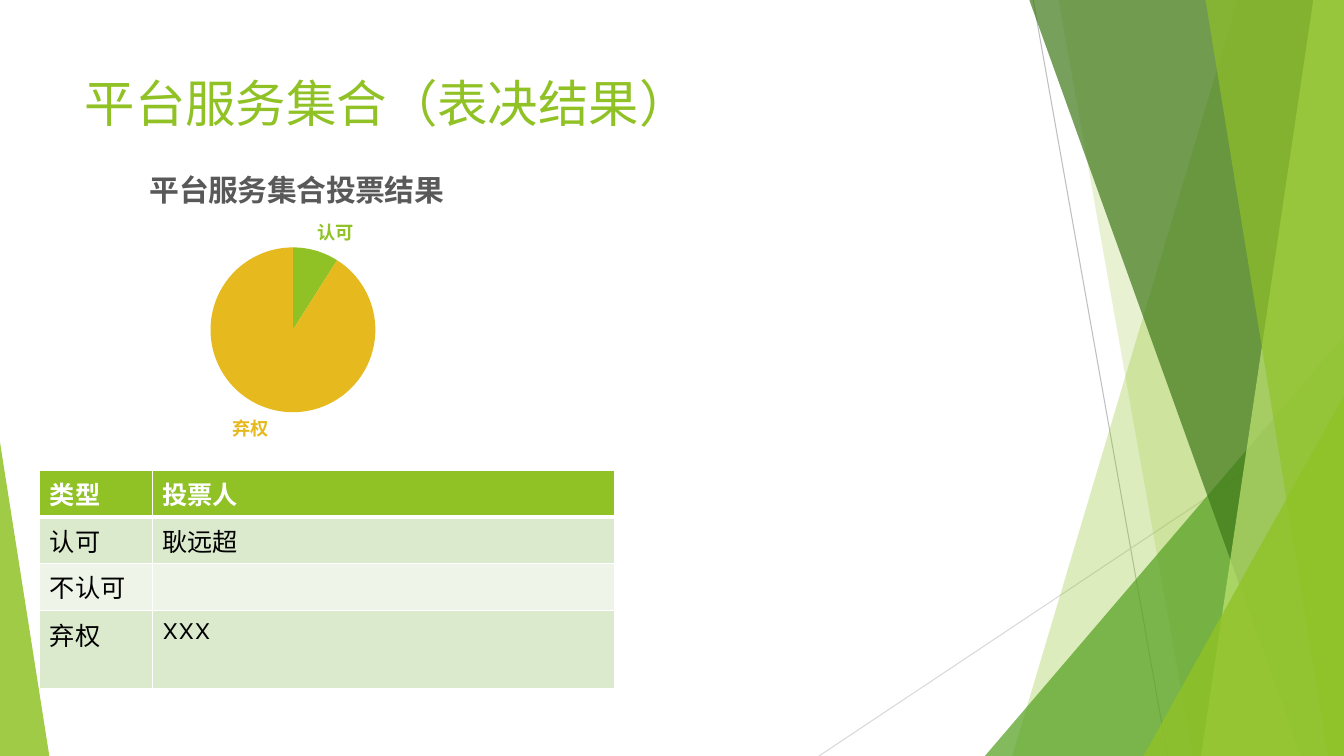
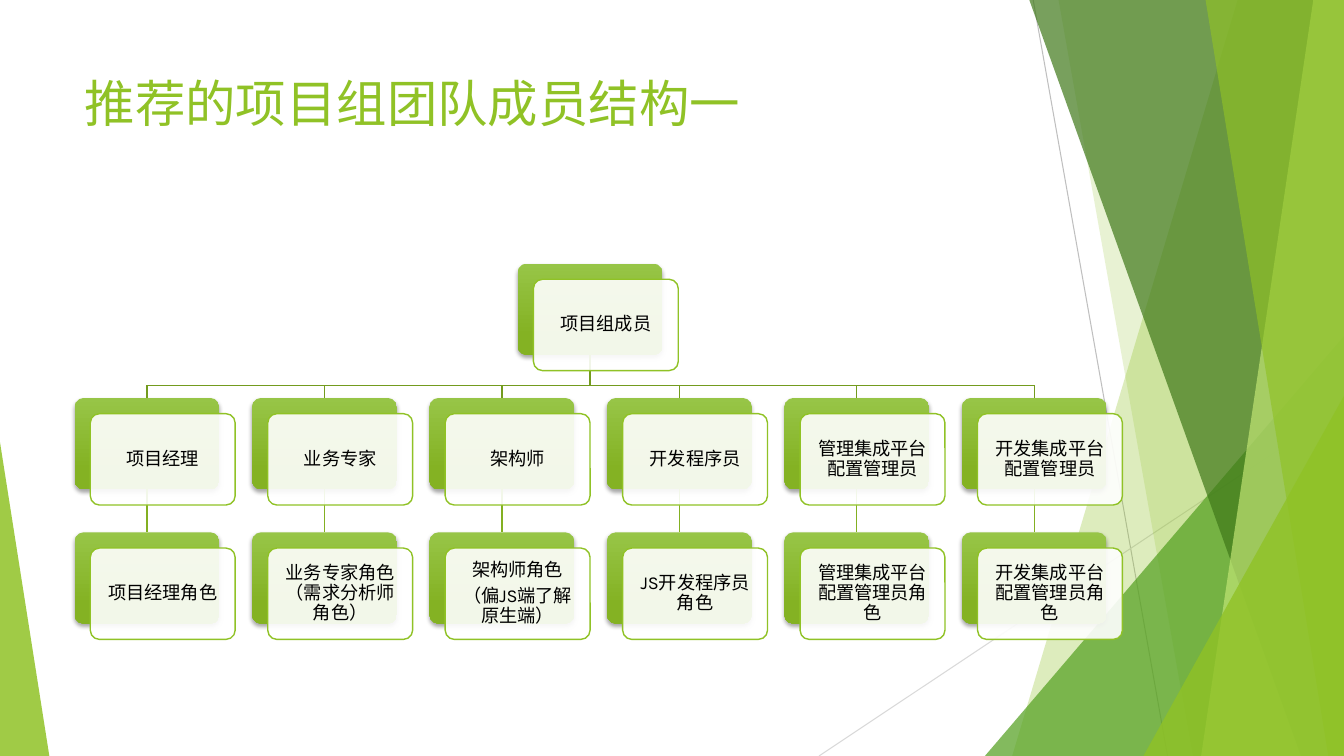
from dataclasses import dataclass

from lxml.etree import SubElement
from pptx import Presentation
from pptx.chart.data import CategoryChartData
from pptx.dml.color import RGBColor
from pptx.enum.chart import XL_CHART_TYPE, XL_LABEL_POSITION
from pptx.enum.shapes import MSO_CONNECTOR, MSO_SHAPE
from pptx.enum.text import MSO_ANCHOR, PP_ALIGN
from pptx.oxml.ns import qn
from pptx.util import Pt

PX = 9525
WIDTH, HEIGHT = 1280, 720


@dataclass(frozen=True)
class Theme:
    font: str = "Karla"
    lime: str = "90C226"
    green: str = "54A021"
    forest: str = "3F7819"
    pale: str = "C0E474"
    gold: str = "E6B91E"
    plate_top: str = "97C547"
    plate_bottom: str = "84B223"
    trunk: str = "739B1E"
    branch: str = "83B022"
    band_dark: str = "DBE9CD"
    band_light: str = "EEF4E8"
    gray: str = "BFBFBF"
    light_gray: str = "D9D9D9"
    heading: str = "595959"
    black: str = "000000"
    white: str = "FFFFFF"
    title_size: float = 36
    chart_title_size: float = 21.3
    table_size: float = 18
    small_size: float = 13


THEME = Theme()


def style_font(font, size, colour, bold=False):
    font.name = THEME.font
    font.size = Pt(size)
    font.bold = bold
    font.color.rgb = RGBColor.from_string(colour)


def paint(shape, colour, opacity):
    """Give the shape a translucent fill, with no outline and no shadow."""
    shape.shadow.inherit = False
    shape.fill.solid()
    shape.fill.fore_color.rgb = RGBColor.from_string(colour)
    shape.line.fill.background()
    fill_colour = next(shape.element.spPr.iter(qn("a:srgbClr")))
    SubElement(fill_colour, qn("a:alpha")).set("val", str(opacity * 1000))


presentation = Presentation()
presentation.slide_width = WIDTH * PX
presentation.slide_height = HEIGHT * PX
connectors = []

# Titles: placed on the layout, styled on each slide
layout = presentation.slide_layouts[5]
layout_title = layout.placeholders[0]
layout_title.left, layout_title.top = 71 * PX, 64 * PX
layout_title.width, layout_title.height = 902 * PX, 138 * PX
layout_title.text_frame.vertical_anchor = MSO_ANCHOR.TOP

for title in ("平台服务集合（表决结果）", "推荐的项目组团队成员结构一"):
    slide = presentation.slides.add_slide(layout)
    paragraph = slide.shapes.title.text_frame.paragraphs[0]
    paragraph.alignment = PP_ALIGN.LEFT
    run = paragraph.add_run()
    run.text = title
    style_font(run.font, THEME.title_size, THEME.lime)
vote_slide, team_slide = presentation.slides

# Shared decoration: drawn once, then moved to the layout
decoration = []
for start_x, start_y, end_x, end_y, colour in (
    (984, 0, 1112, HEIGHT, THEME.gray),
    (WIDTH, 387, 780, HEIGHT, THEME.light_gray),
):
    connector = vote_slide.shapes.add_connector(
        MSO_CONNECTOR.STRAIGHT, start_x * PX, start_y * PX, end_x * PX, end_y * PX)
    connectors.append((connector, colour, 0.75))
    decoration.append(connector)

# A ribbon has its top and bottom x; a triangle has left, top, width, height, apex
for geometry, colour, opacity in (
    ((1179, 964), THEME.lime, 30),
    ((1008, 1136), THEME.lime, 20),
    ((938, 320, 342, 400, 1), THEME.green, 72),
    ((980, 1239), THEME.forest, 70),
    ((1251, 1144), THEME.pale, 70),
    ((1148, 1265), THEME.lime, 65),
    ((1089, 377, 191, 343, 1), THEME.lime, 80),
    ((0, 421, 47, 299, 0), THEME.lime, 85),
):
    if len(geometry) == 2:
        top_x, bottom_x = geometry
        outline = vote_slide.shapes.build_freeform(top_x, -1, scale=PX)
        outline.add_line_segments([(WIDTH, -1), (WIDTH, HEIGHT), (bottom_x, HEIGHT)])
        shape = outline.convert_to_shape()
    else:
        *box, apex = geometry
        shape = vote_slide.shapes.add_shape(
            MSO_SHAPE.ISOSCELES_TRIANGLE, *[length * PX for length in box])
        shape.adjustments[0] = apex
    paint(shape, colour, opacity)
    decoration.append(shape)

for index, shape in enumerate(decoration, start=2):
    layout.shapes.element.insert(index, shape.element)

# Vote chart
chart_data = CategoryChartData()
chart_data.categories = ["认可", "不认可", "弃权"]
chart_data.add_series("Series 1", (9, 0, 91))
chart = vote_slide.shapes.add_chart(
    XL_CHART_TYPE.PIE, 71 * PX, 133 * PX, 416 * PX, 302 * PX, chart_data).chart
style_font(chart.font, THEME.small_size, THEME.black)
chart.has_legend = False
chart.has_title = True
run = chart.chart_title.text_frame.paragraphs[0].add_run()
run.text = "平台服务集合投票结果"
style_font(run.font, THEME.chart_title_size, THEME.heading, bold=True)

series = chart.plots[0].series[0]
labels = series.data_labels
labels.show_category_name = True
labels.show_value = False
labels.position = XL_LABEL_POSITION.OUTSIDE_END
for index, colour in enumerate((THEME.lime, THEME.green, THEME.gold)):
    point = series.points[index]
    point.format.fill.solid()
    point.format.fill.fore_color.rgb = RGBColor.from_string(colour)
    style_font(point.data_label.font, THEME.small_size, colour, bold=True)
    point.data_label.position = XL_LABEL_POSITION.OUTSIDE_END
for label in chart.element.iter(qn("c:dLbl")):
    label.find(qn("c:showVal")).set("val", "0")
    label.find(qn("c:showCatName")).set("val", "1")

for tag, index, settings in (
    ("c:title", 1, {"xMode": "edge", "yMode": "edge", "x": 0.16, "y": 0.06}),
    ("c:plotArea", 0, {"layoutTarget": "inner", "xMode": "edge", "yMode": "edge",
                       "x": 0.31, "y": 0.34, "w": 0.38, "h": 0.52}),
):
    parent = next(chart.element.iter(qn(tag)))
    for automatic_layout in parent.findall(qn("c:layout")):
        parent.remove(automatic_layout)
    chart_layout = SubElement(parent, qn("c:layout"))
    parent.insert(index, chart_layout)
    manual_layout = SubElement(chart_layout, qn("c:manualLayout"))
    for name, value in settings.items():
        SubElement(manual_layout, qn(f"c:{name}")).set("val", str(value))

# Vote table
vote_rows = (
    ("类型", "投票人"),
    ("认可", "耿远超"),
    ("不认可", ""),
    ("弃权", "XXX"),
)
row_heights = (44, 44, 45, 74)
column_widths = (107, 440)
table = vote_slide.shapes.add_table(
    len(vote_rows), len(column_widths), 38 * PX, 448 * PX,
    sum(column_widths) * PX, sum(row_heights) * PX).table
for column, width in zip(table.columns, column_widths):
    column.width = width * PX
for row_index, (row, height, texts) in enumerate(zip(table.rows, row_heights, vote_rows)):
    row.height = height * PX
    is_header = row_index == 0
    band = THEME.band_dark if row_index % 2 else THEME.band_light
    for cell, text in zip(row.cells, texts):
        cell.fill.solid()
        cell.fill.fore_color.rgb = RGBColor.from_string(THEME.lime if is_header else band)
        properties = cell.fill._xPr
        for index, side in enumerate(("lnL", "lnR", "lnT", "lnB")):
            thick = (is_header and side == "lnB") or (row_index == 1 and side == "lnT")
            border = SubElement(properties, qn(f"a:{side}"), w=str(Pt(3 if thick else 1)))
            properties.insert(index, border)
            border_fill = SubElement(border, qn("a:solidFill"))
            SubElement(border_fill, qn("a:srgbClr")).set("val", THEME.white)
        if text:
            run = cell.text_frame.paragraphs[0].add_run()
            run.text = text
            style_font(run.font, THEME.table_size,
                       THEME.white if is_header else THEME.black, bold=is_header)

# Team chart: a root above six members, each with a role below
BOX_WIDTH, BOX_HEIGHT, CARD_OFFSET = 138, 87, 15
TEAM_LEFT, TEAM_TOP, COLUMN_PITCH, ROW_PITCH = 71, 251, 169, 128
BUS_Y = 367
members = (
    ("项目经理", ["项目经理角色"]),
    ("业务专家", ["业务专家角色（需求分析师角色）"]),
    ("架构师", ["架构师角色", "（偏JS端了解原生端）"]),
    ("开发程序员", ["JS开发程序员角色"]),
    ("管理集成平台配置管理员", ["管理集成平台配置管理员角色"]),
    ("开发集成平台配置管理员", ["开发集成平台配置管理员角色"]),
)
root_left = TEAM_LEFT + COLUMN_PITCH * (len(members) - 1) // 2
boxes = [(root_left, TEAM_TOP, ["项目组成员"])]
for index, (member, role) in enumerate(members):
    left = TEAM_LEFT + index * COLUMN_PITCH
    boxes.append((left, TEAM_TOP + ROW_PITCH, [member]))
    boxes.append((left, TEAM_TOP + 2 * ROW_PITCH, role))

plates = []
for left, top, lines in boxes:
    plate = team_slide.shapes.add_shape(
        MSO_SHAPE.ROUNDED_RECTANGLE, left * PX, top * PX, BOX_WIDTH * PX, BOX_HEIGHT * PX)
    plate.adjustments[0] = 0.1
    plate.fill.gradient()
    plate.fill.gradient_angle = 270
    for stop, colour, position in zip(
            plate.fill.gradient_stops, (THEME.plate_top, THEME.plate_bottom), (0, 0.78)):
        stop.color.rgb = RGBColor.from_string(colour)
        stop.position = position
    plate.line.fill.background()
    plate.shadow.inherit = False
    shadow = SubElement(
        plate.element.spPr.find(qn("a:effectLst")), qn("a:outerShdw"),
        blurRad=str(Pt(3)), dist=str(Pt(2)), dir="5400000", rotWithShape="0")
    shadow_colour = SubElement(shadow, qn("a:srgbClr"), val=THEME.black)
    SubElement(shadow_colour, qn("a:alpha")).set("val", "35000")
    plates.append(plate)

# Links lie between the plates and the cards
root, member_plates, role_plates = plates[0], plates[1::2], plates[2::2]
centres = [plate.left + plate.width // 2 for plate in member_plates]
root_centre = root.left + root.width // 2
bus_y = BUS_Y * PX
links = [
    (root_centre, bus_y, root_centre, bus_y, root, None, THEME.trunk),
    (centres[0], bus_y, centres[-1], bus_y, None, None, THEME.trunk),
]
for centre, member_plate, role_plate in zip(centres, member_plates, role_plates):
    links.append((centre, bus_y, centre, bus_y, None, member_plate, THEME.trunk))
    links.append((centre, bus_y, centre, bus_y, member_plate, role_plate, THEME.branch))
for start_x, start_y, end_x, end_y, upper, lower, colour in links:
    connector = team_slide.shapes.add_connector(
        MSO_CONNECTOR.STRAIGHT, start_x, start_y, end_x, end_y)
    if upper is not None:
        connector.begin_connect(upper, 2)
    if lower is not None:
        connector.end_connect(lower, 0)
    connectors.append((connector, colour, 1))

for left, top, lines in boxes:
    card = team_slide.shapes.add_shape(
        MSO_SHAPE.ROUNDED_RECTANGLE, (left + CARD_OFFSET) * PX, (top + CARD_OFFSET) * PX,
        BOX_WIDTH * PX, BOX_HEIGHT * PX)
    card.adjustments[0] = 0.1
    paint(card, THEME.white, 90)
    card.line.color.rgb = RGBColor.from_string(THEME.lime)
    card.line.width = Pt(1)
    frame = card.text_frame
    frame.word_wrap = True
    frame.vertical_anchor = MSO_ANCHOR.MIDDLE
    frame.margin_left = frame.margin_right = frame.margin_top = frame.margin_bottom = 7 * PX
    for index, line in enumerate(lines):
        paragraph = frame.add_paragraph() if index else frame.paragraphs[0]
        paragraph.alignment = PP_ALIGN.CENTER
        paragraph.line_spacing = 0.9
        paragraph.space_after = Pt(4.5)
        run = paragraph.add_run()
        run.text = line
        style_font(run.font, THEME.small_size, THEME.black)

for connector, colour, weight in connectors:
    connector.line.color.rgb = RGBColor.from_string(colour)
    connector.line.width = Pt(weight)
    SubElement(connector.element.spPr, qn("a:effectLst"))

presentation.save("out.pptx")
